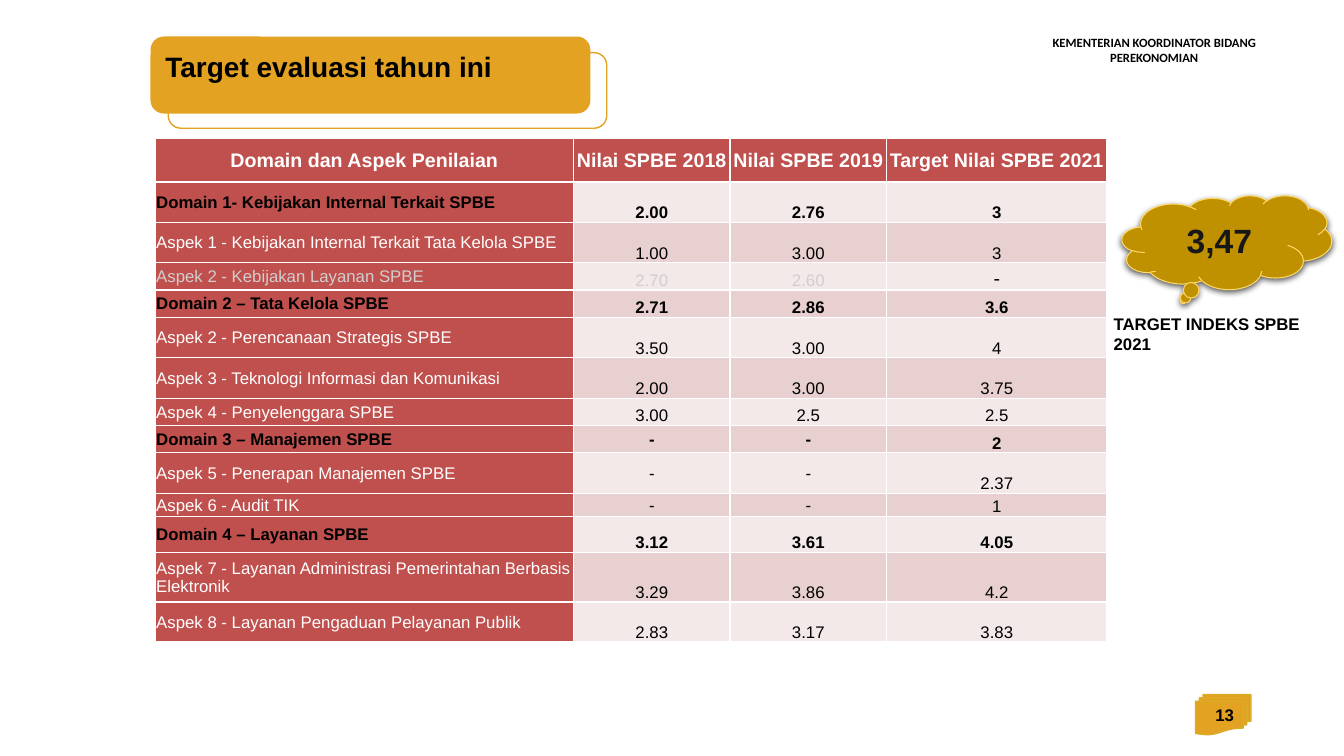
from dataclasses import dataclass

from lxml import etree
from pptx import Presentation
from pptx.dml.color import RGBColor
from pptx.enum.shapes import MSO_SHAPE
from pptx.enum.text import MSO_ANCHOR, PP_ALIGN
from pptx.oxml.ns import qn
from pptx.util import Pt

LEFT, CENTER, RIGHT = PP_ALIGN.LEFT, PP_ALIGN.CENTER, PP_ALIGN.RIGHT
TOP, MIDDLE, BOTTOM = MSO_ANCHOR.TOP, MSO_ANCHOR.MIDDLE, MSO_ANCHOR.BOTTOM
ROUNDED = MSO_SHAPE.ROUNDED_RECTANGLE
PAGES = MSO_SHAPE.FLOWCHART_MULTIDOCUMENT
CLOUD = MSO_SHAPE.CLOUD_CALLOUT


@dataclass(frozen=True)
class Theme:
    font: str = "Arial"
    ministry_font: str = "Calibri"
    black: str = "000000"
    white: str = "FFFFFF"
    gold: str = "E3A221"
    page_line: str = "DCAB27"
    cloud: str = "BF9000"
    cloud_line: str = "FFD966"
    cloud_text: str = "181717"
    red: str = "C0504D"
    light_band: str = "F4E9E9"
    dark_band: str = "E8D0D0"
    muted: str = "D0CECE"
    ministry_size: int = 9
    body_size: int = 12
    header_size: int = 14
    title_size: int = 20
    index_size: int = 24


theme = Theme()


def write(frame, text, size, color=theme.black, bold=True, align=LEFT,
          anchor=TOP, font=theme.font):
    frame.text = text
    frame.vertical_anchor = anchor
    paragraph = frame.paragraphs[0]
    paragraph.alignment = align
    run_font = paragraph.runs[0].font
    run_font.name = font
    run_font.size = Pt(size)
    run_font.bold = bold
    run_font.color.rgb = RGBColor.from_string(color)


def add_border(cell, side, width):
    properties = cell._tc.get_or_add_tcPr()
    line = etree.SubElement(properties, qn(f"a:ln{side}"), w=str(Pt(width)))
    fill = etree.SubElement(line, qn("a:solidFill"))
    etree.SubElement(fill, qn("a:srgbClr"), val=theme.white)


presentation = Presentation()
presentation.slide_width = Pt(960)
presentation.slide_height = Pt(540)
slide = presentation.slides.add_slide(presentation.slide_layouts[5])
shapes = slide.shapes

# Title tabs, page badge and index cloud
decorations = [
    (ROUNDED, 120.2, 37.6, 313.2, 54, None, theme.gold, 1),
    (ROUNDED, 108, 26.6, 313.2, 54, theme.gold, theme.gold, 1),
    (PAGES, 853.9, 496.1, 39.6, 28.8, theme.gold, theme.page_line, 1),
    (CLOUD, 801.4, 139.7, 149.8, 67, theme.cloud, theme.cloud_line, 0.75),
]
for kind, left, top, width, height, fill, line, line_width in decorations:
    shape = shapes.add_shape(kind, Pt(left), Pt(top), Pt(width), Pt(height))
    shape.shadow.inherit = False
    if fill:
        shape.fill.solid()
        shape.fill.fore_color.rgb = RGBColor.from_string(fill)
    else:
        shape.fill.background()
    shape.line.color.rgb = RGBColor.from_string(line)
    shape.line.width = Pt(line_width)

# The cloud, added last, carries the index and a soft shadow
cloud = shape
write(cloud.text_frame, "3,47", theme.index_size, theme.cloud_text,
      align=CENTER, anchor=MIDDLE)
effects = cloud._element.spPr.find(qn("a:effectLst"))
shadow = etree.SubElement(effects, qn("a:outerShdw"), blurRad=str(Pt(4.5)),
                          dist=str(Pt(1.5)), dir="5400000", rotWithShape="0")
shadow_color = etree.SubElement(shadow, qn("a:srgbClr"), val=theme.black)
etree.SubElement(shadow_color, qn("a:alpha"), val="63000")

# Title, brought in front of its tabs
title = shapes.title
title.left, title.top, title.width, title.height = Pt(110.9), Pt(31.7), Pt(250), Pt(31.7)
write(title.text_frame, "Target evaluasi tahun ini", theme.title_size)
title.text_frame.word_wrap = False
shapes._spTree.append(title._element)

# Ministry name, page number and index caption
labels = [
    ("KEMENTERIAN KOORDINATOR BIDANG PEREKONOMIAN", 722.2, 21.6, 204.5, 36.7,
     theme.ministry_size, CENTER, TOP, theme.ministry_font, True),
    ("13", 672.5, 496.1, 216, 28.8,
     theme.body_size, RIGHT, MIDDLE, theme.font, True),
    ("TARGET INDEKS SPBE 2021", 788.4, 220.3, 171.6, 21.6,
     theme.body_size, LEFT, TOP, theme.font, False),
]
for text, left, top, width, height, size, align, anchor, font, wrap in labels:
    box = shapes.add_textbox(Pt(left), Pt(top), Pt(width), Pt(height))
    write(box.text_frame, text, size, align=align, anchor=anchor, font=font)
    box.text_frame.word_wrap = wrap

# Score table: row height, then the cell texts
rows = [
    (31, "Domain dan Aspek Penilaian", "Nilai SPBE 2018", "Nilai SPBE 2019", "Target Nilai SPBE 2021"),
    (29, "Domain 1- Kebijakan Internal Terkait SPBE", "2.00", "2.76", "3"),
    (29, "Aspek 1 - Kebijakan Internal Terkait Tata Kelola SPBE", "1.00", "3.00", "3"),
    (19.4, "Aspek 2 - Kebijakan Layanan SPBE", "2.70", "2.60", "-"),
    (19.4, "Domain 2 – Tata Kelola SPBE", "2.71", "2.86", "3.6"),
    (29, "Aspek 2 - Perencanaan Strategis SPBE", "3.50", "3.00", "4"),
    (29, "Aspek 3 - Teknologi Informasi dan Komunikasi", "2.00", "3.00", "3.75"),
    (19.4, "Aspek 4 - Penyelenggara SPBE", "3.00", "2.5", "2.5"),
    (19.4, "Domain 3 – Manajemen SPBE", "-", "-", "2"),
    (29, "Aspek 5 - Penerapan Manajemen SPBE", "-", "-", "2.37"),
    (16.4, "Aspek 6 - Audit TIK", "-", "-", "1"),
    (25.9, "Domain 4 – Layanan SPBE", "3.12", "3.61", "4.05"),
    (35.4, "Aspek 7 - Layanan Administrasi Pemerintahan Berbasis Elektronik", "3.29", "3.86", "4.2"),
    (28.5, "Aspek 8 - Layanan Pengaduan Pelayanan Publik", "2.83", "3.17", "3.83"),
]
column_widths = [298.8, 111.8, 111.8, 157.5]
target_column = len(column_widths) - 1
muted_row = 3

table = shapes.add_table(len(rows), len(column_widths), Pt(110.9), Pt(98.8),
                         Pt(sum(column_widths)), Pt(sum(row[0] for row in rows))).table
for column, width in zip(table.columns, column_widths):
    column.width = Pt(width)

for row_index, (height, *texts) in enumerate(rows):
    table.rows[row_index].height = Pt(height)
    is_header = row_index == 0
    is_domain = texts[0].startswith("Domain")
    band = theme.light_band if row_index % 2 else theme.dark_band
    for column_index, text in enumerate(texts):
        cell = table.cell(row_index, column_index)
        is_label = column_index == 0
        is_target = column_index == target_column
        color, size, anchor = theme.black, theme.body_size, BOTTOM
        if is_header or (is_label and not is_domain):
            color = theme.white
        if row_index == muted_row and not is_target:
            color = theme.muted
        if is_header or (text == "-" and is_target):
            size = theme.header_size
        if is_header or is_label or (text == "-" and not is_target):
            anchor = MIDDLE
        align = LEFT if is_label and not is_header else CENTER

        write(cell.text_frame, text, size, color, is_domain, align)
        cell.vertical_anchor = anchor
        cell.margin_left = cell.margin_right = cell.margin_top = Pt(0.72)
        cell.margin_bottom = Pt(0)
        for side in "LRTB":
            under_header = (row_index, side) in ((0, "B"), (1, "T"))
            add_border(cell, side, 1.5 if under_header else 1)
        cell.fill.solid()
        cell.fill.fore_color.rgb = RGBColor.from_string(
            theme.red if is_header or is_label else band)

presentation.save("out.pptx")
